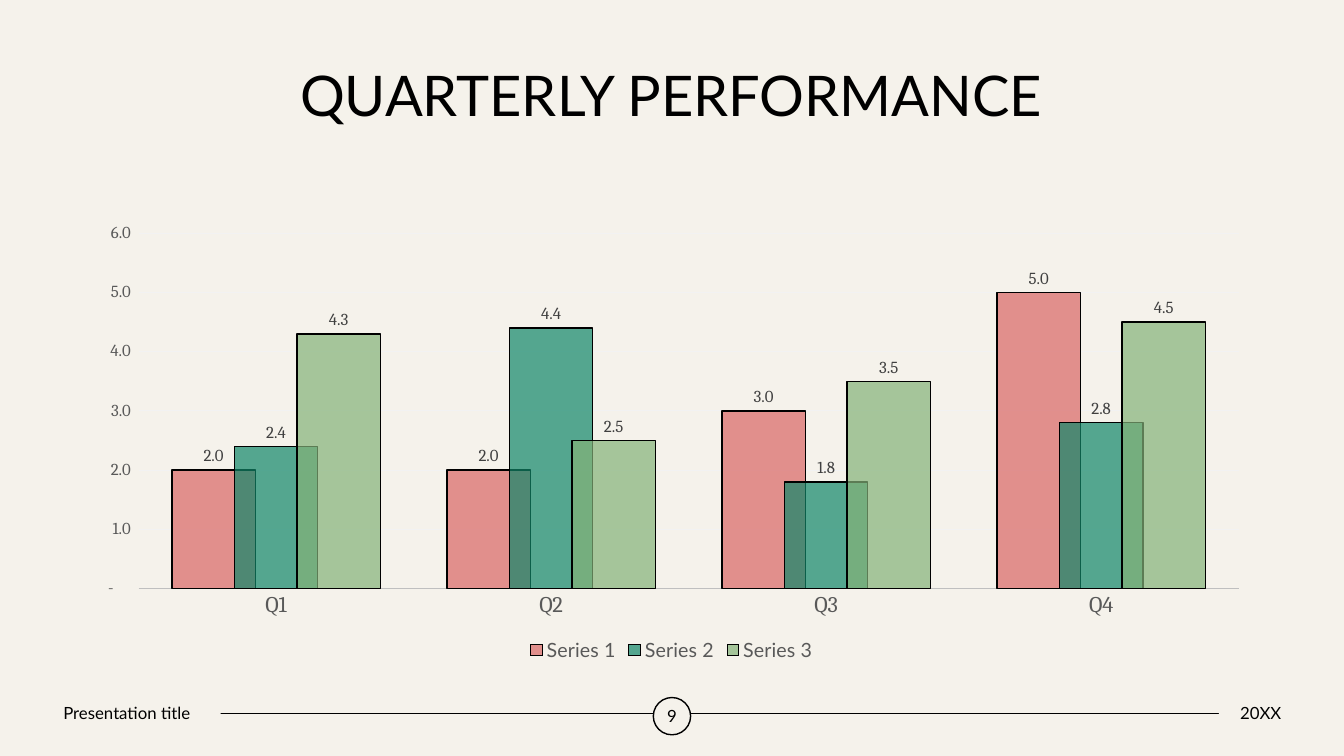
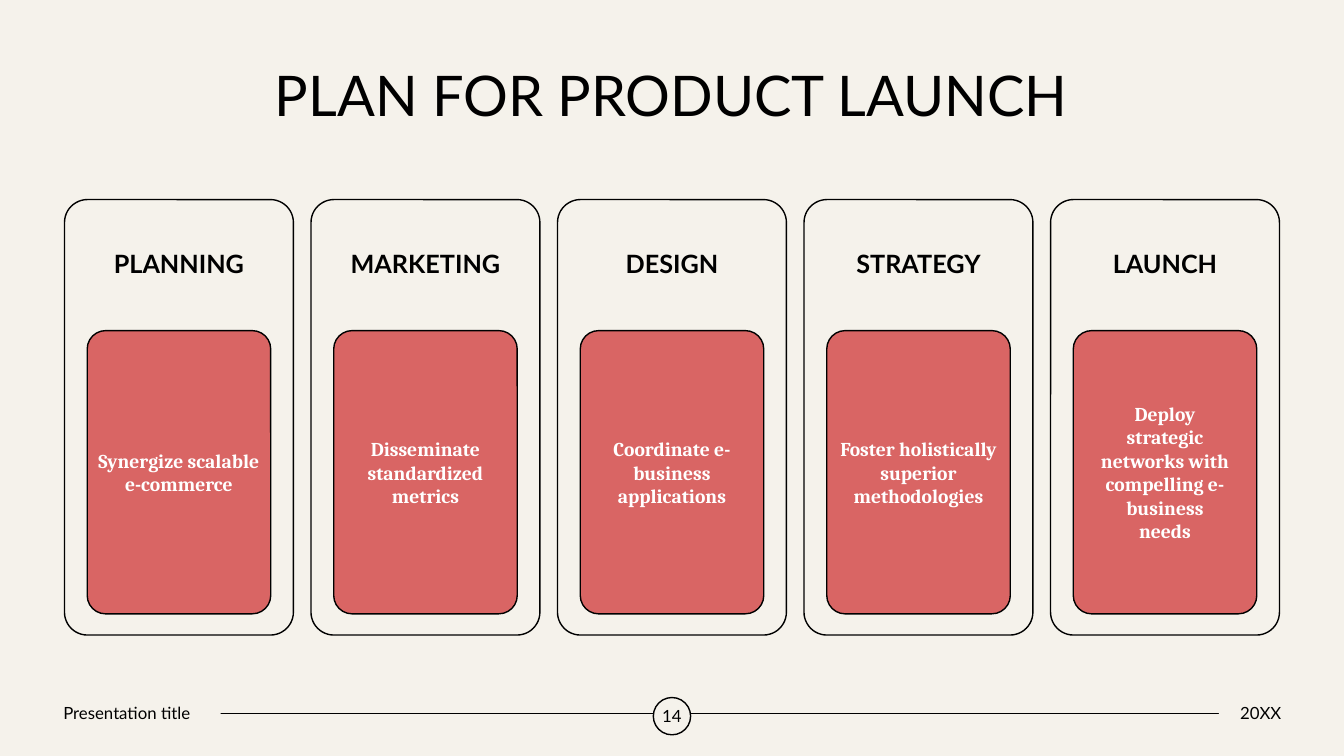
"""Build a quarterly performance chart slide and a product launch plan slide."""
from lxml import etree
from pptx import Presentation
from pptx.chart.data import CategoryChartData
from pptx.dml.color import RGBColor
from pptx.enum.chart import XL_CHART_TYPE, XL_LABEL_POSITION, XL_LEGEND_POSITION, XL_TICK_MARK
from pptx.enum.shapes import MSO_CONNECTOR, MSO_SHAPE
from pptx.enum.text import MSO_ANCHOR, PP_ALIGN
from pptx.oxml.ns import qn
from pptx.util import Inches, Pt

COLUMN = XL_CHART_TYPE.COLUMN_CLUSTERED
OUTSIDE_END = XL_LABEL_POSITION.OUTSIDE_END
BOTTOM = XL_LEGEND_POSITION.BOTTOM
NO_TICK = XL_TICK_MARK.NONE
STRAIGHT = MSO_CONNECTOR.STRAIGHT
RECT, OVAL, ROUNDED = MSO_SHAPE.RECTANGLE, MSO_SHAPE.OVAL, MSO_SHAPE.ROUNDED_RECTANGLE
MIDDLE = MSO_ANCHOR.MIDDLE
LEFT, CENTER = PP_ALIGN.LEFT, PP_ALIGN.CENTER

CREAM = RGBColor(0xF5, 0xF2, 0xEB)
BLACK = RGBColor(0, 0, 0)
WHITE = RGBColor(0xFF, 0xFF, 0xFF)
CORAL = RGBColor(0xD9, 0x65, 0x64)
TEAL = RGBColor(0x10, 0x86, 0x69)
SAGE = RGBColor(0x84, 0xB2, 0x78)
AXIS_TEXT = RGBColor(0x59, 0x59, 0x59)
LABEL_TEXT = RGBColor(0x40, 0x40, 0x40)
AXIS_LINE = RGBColor(0xBF, 0xBF, 0xBF)
GRID_LINE = RGBColor(0xF2, 0xF2, 0xF2)
HEAD_FONT, BODY_FONT = "Lato", "Cambria"

FOOTER, YEAR = "Presentation title", "20XX"
NUMBER_FORMAT = '_(* #,##0.0_);_(* \\(#,##0.0\\);_(* "-"??_);_(@_)'
QUARTERS = ["Q1", "Q2", "Q3", "Q4"]
SERIES = [
    ("Series 1", (2, 2, 3, 5), CORAL),
    ("Series 2", (2.4, 4.4, 1.8, 2.8), TEAL),
    ("Series 3", (4.3, 2.5, 3.5, 4.5), SAGE),
]
STAGES = [
    ("PLANNING", "Synergize scalable e-commerce", 0.04),
    ("MARKETING", "Disseminate standardized metrics", 0.04),
    ("DESIGN", "Coordinate e-business applications", 0.04),
    ("STRATEGY", "Foster holistically superior methodologies", 0.04),
    ("LAUNCH", "Deploy strategic networks with compelling e-business needs", 0.2),
]
STAGES_LEFT, STAGES_RIGHT, STAGES_TOP = 0.64, 12.69, 1.98
STAGE_WIDTH, STAGE_HEIGHT, HEADING_HEIGHT = 2.27, 4.32, 1.3
CARD_WIDTH, CARD_HEIGHT = 1.82, 2.81


def style_font(font, size, color, name=HEAD_FONT, bold=False):
    font.size, font.name, font.bold = Pt(size), name, bold
    font.color.rgb = color


def write(shape, text, size, color=BLACK, name=HEAD_FONT, bold=False,
          align=CENTER, inset=0, spacing=None):
    tf = shape.text_frame
    tf.text = text
    tf.word_wrap = True
    tf.vertical_anchor = MIDDLE
    tf.margin_left = tf.margin_right = tf.margin_top = tf.margin_bottom = Inches(inset)
    p = tf.paragraphs[0]
    p.alignment = align
    p.line_spacing = spacing
    style_font(p.runs[0].font, size, color, name, bold)


def style_line(line, color=BLACK, width=1):
    line.color.rgb = color
    line.width = Pt(width)


def add_box(s, kind, left, top, width, height, fill=CREAM, outlined=True):
    sp = s.shapes.add_shape(kind, Inches(left), Inches(top), Inches(width), Inches(height))
    sp.shadow.inherit = False
    sp.fill.solid()
    sp.fill.fore_color.rgb = fill
    if outlined:
        style_line(sp.line)
    else:
        sp.line.fill.background()
    if kind == ROUNDED:
        sp.adjustments[0] = 0.1
    return sp


def add_slide(prs, title, number):
    s = prs.slides.add_slide(prs.slide_layouts[5])
    rule = s.shapes.add_connector(STRAIGHT, Inches(0.62), Inches(7.08), Inches(12.67), Inches(7.08))
    style_line(rule.line)
    etree.SubElement(rule._element.spPr, qn("a:effectLst"))
    heading = s.shapes.title
    heading.left, heading.top = Inches(0.64), Inches(0.59)
    heading.width, heading.height = Inches(12.03), Inches(0.78)
    write(heading, title, 40, inset=0.05, spacing=0.9)
    write(add_box(s, RECT, 0.53, 6.92, 1.66, 0.3, outlined=False), FOOTER, 12, align=LEFT, inset=0.1)
    write(add_box(s, OVAL, 6.48, 6.92, 0.37, 0.37), str(number), 12)
    write(add_box(s, RECT, 12.09, 6.92, 0.83, 0.3, outlined=False), YEAR, 12)
    return s


def add_quarterly_chart(s):
    data = CategoryChartData(number_format=NUMBER_FORMAT)
    data.categories = QUARTERS
    for name, values, _ in SERIES:
        data.add_series(name, values)
    chart = s.shapes.add_chart(COLUMN, Inches(0.8), Inches(2.13), Inches(11.72), Inches(4.48), data).chart
    style_font(chart.font, 10, BLACK, BODY_FONT)
    chart.has_title = False
    chart.has_legend = True
    chart.legend.position = BOTTOM
    chart.legend.include_in_layout = False
    style_font(chart.legend.font, 14, AXIS_TEXT)

    quarters, amounts = chart.category_axis, chart.value_axis
    for axis, size in ((quarters, 16), (amounts, 12)):
        axis.major_tick_mark = axis.minor_tick_mark = NO_TICK
        style_font(axis.tick_labels.font, size, AXIS_TEXT, BODY_FONT)
    style_line(quarters.format.line, AXIS_LINE, 1.25)
    amounts.format.line.fill.background()
    amounts.minimum_scale, amounts.maximum_scale, amounts.major_unit = 0, 6, 1
    amounts.tick_labels.number_format = NUMBER_FORMAT
    amounts.tick_labels.number_format_is_linked = False
    style_line(amounts.major_gridlines.format.line, GRID_LINE, 0.75)

    plot = chart.plots[0]
    plot.gap_width, plot.overlap, plot.vary_by_categories = 80, 25, False
    for series, (_, _, color) in zip(plot.series, SERIES):
        fill = series.format.fill
        fill.solid()
        fill.fore_color.rgb = color
        tint = series._element.find(".//" + qn("a:srgbClr"))
        etree.SubElement(tint, qn("a:alpha"), val="70000")
        style_line(series.format.line)
        labels = series.data_labels
        labels.show_value = True
        labels.position = OUTSIDE_END
        labels.number_format = NUMBER_FORMAT
        labels.number_format_is_linked = False
        style_font(labels.font, 12, LABEL_TEXT, BODY_FONT)


def add_stages(s):
    pitch = (STAGES_RIGHT - STAGES_LEFT - STAGE_WIDTH) / (len(STAGES) - 1)
    for i, (heading, detail, inset) in enumerate(STAGES):
        left = STAGES_LEFT + i * pitch
        add_box(s, ROUNDED, left, STAGES_TOP, STAGE_WIDTH, STAGE_HEIGHT)
        label = s.shapes.add_textbox(Inches(left), Inches(STAGES_TOP),
                                     Inches(STAGE_WIDTH), Inches(HEADING_HEIGHT))
        write(label, heading, 18, bold=True, inset=0.07, spacing=0.9)
        card = add_box(s, ROUNDED, left + (STAGE_WIDTH - CARD_WIDTH) / 2,
                       STAGES_TOP + HEADING_HEIGHT, CARD_WIDTH, CARD_HEIGHT, CORAL)
        write(card, detail, 14, WHITE, BODY_FONT, bold=True, inset=inset)


def main():
    prs = Presentation()
    prs.slide_width, prs.slide_height = Inches(13.33), Inches(7.5)
    background = prs.slide_master.background.fill
    background.solid()
    background.fore_color.rgb = CREAM
    add_quarterly_chart(add_slide(prs, "QUARTERLY PERFORMANCE", 9))
    add_stages(add_slide(prs, "PLAN FOR PRODUCT LAUNCH", 14))
    prs.save("out.pptx")


if __name__ == "__main__":
    main()
